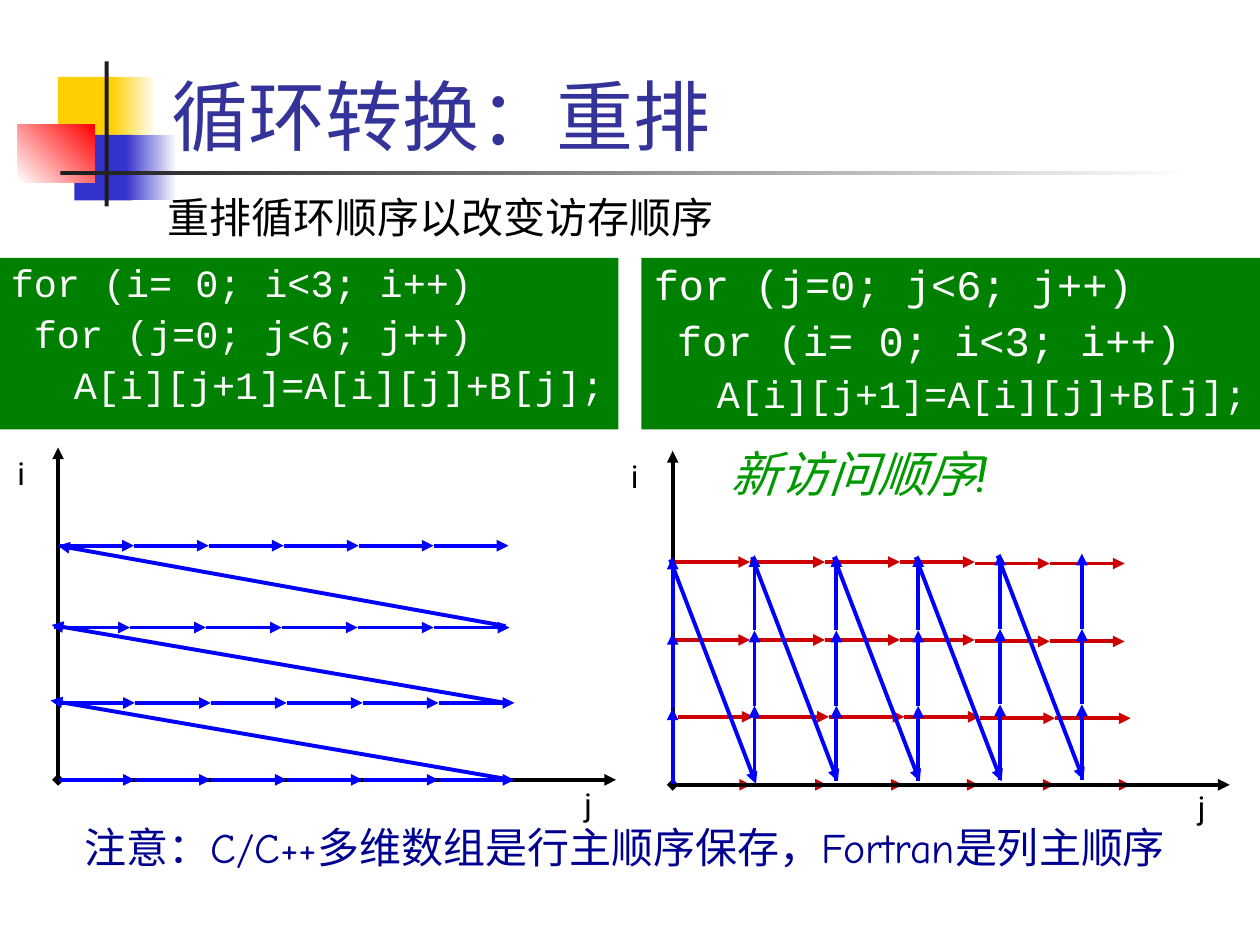
from lxml.etree import SubElement
from pptx import Presentation
from pptx.dml.color import RGBColor
from pptx.enum.shapes import MSO_CONNECTOR, MSO_SHAPE
from pptx.enum.text import MSO_ANCHOR, MSO_AUTO_SIZE, PP_ALIGN
from pptx.oxml.ns import qn
from pptx.util import Cm, Pt

COLORS = {
    "yellow": "FFCF01", "indigo": "3333CC", "red": "FF0000", "ink": "1C1C1C",
    "white": "FFFFFF", "black": "000000", "title": "333399", "code": "008000",
    "access": "0000FF", "row": "CC0000", "remark": "009900", "note": "000090",
}
RGB = {name: RGBColor.from_string(value) for name, value in COLORS.items()}

deck = Presentation()
deck.slide_width, deck.slide_height = Cm(25.4), Cm(19.05)
slide = deck.slides.add_slide(deck.slide_layouts[5])


def arrow(x1, y1, x2, y2, color, head=None, tail="triangle"):
    line = slide.shapes.add_connector(
        MSO_CONNECTOR.STRAIGHT, Cm(x1), Cm(y1), Cm(x2), Cm(y2))
    line.line.color.rgb = RGB[color]
    line.line.width = Pt(2.25)
    for end, kind in (("a:headEnd", head), ("a:tailEnd", tail)):
        if kind:
            SubElement(line.line._get_or_add_ln(), qn(end), type=kind)
    SubElement(line._element.spPr, qn("a:effectLst"))


def write(paragraph, text, color, **font_format):
    run = paragraph.add_run()
    run.text = text
    run.font.color.rgb = RGB[color]
    for attribute, value in font_format.items():
        setattr(run.font, attribute, value)


# Corner decoration: left, top, width, height, start colour, end colour, angle
decoration = [
    (1.17, 1.55, 1.22, 1.32, "yellow", None, 0),
    (2.24, 1.55, 0.91, 1.32, "yellow", "white", 0),
    (1.5, 2.72, 1.17, 1.32, "indigo", None, 0),
    (2.54, 2.72, 1.02, 1.32, "indigo", "white", 0),
    (0.36, 2.51, 1.55, 1.17, "white", "red", 45),
    (2.11, 1.24, 0.08, 2.92, "ink", None, 0),
    (1.22, 3.45, 22.86, 0.08, "ink", "white", 0),
]
for left, top, width, height, start, end, angle in decoration:
    block = slide.shapes.add_shape(
        MSO_SHAPE.RECTANGLE, Cm(left), Cm(top), Cm(width), Cm(height))
    block.shadow.inherit = False
    block.line.fill.background()
    if end:
        block.fill.gradient()
        block.fill.gradient_angle = angle
        for stop, name in zip(block.fill.gradient_stops, (start, end)):
            stop.color.rgb = RGB[name]
    else:
        block.fill.solid()
        block.fill.fore_color.rgb = RGB[start]

# Title
title = slide.shapes.title
title.left, title.top, title.width, title.height = Cm(3.2), Cm(0.2), Cm(21.64), Cm(3.18)
title.text_frame.auto_size = MSO_AUTO_SIZE.NONE
title.text_frame.vertical_anchor = MSO_ANCHOR.BOTTOM
heading = title.text_frame.paragraphs[0]
heading.alignment = PP_ALIGN.LEFT
write(heading, "循环转换：重排", "title", size=Pt(44), name="Times New Roman")

# Code panels: left, then lines of (text, size) runs
body_line = [("A[i][j+1]=A[i][j]+B[j];", 22)]
panels = [
    (16.28 - 3.35, [[("for (j=0; j<6; j++)", 24)],
                    [(" ", 22), ("for (i= 0; i<3; i++)", 24)], body_line]),
    (-0.03, [[("for (i= 0; i<3; i++)", 22)],
             [(" for (j=0; j<6; j++)", 22)], body_line]),
]
for left, code_lines in panels:
    panel = slide.shapes.add_shape(
        MSO_SHAPE.RECTANGLE, Cm(left), Cm(5.2), Cm(12.5), Cm(3.46))
    panel.shadow.inherit = False
    panel.line.fill.background()
    panel.fill.solid()
    panel.fill.fore_color.rgb = RGB["code"]
    code = panel.text_frame
    code.word_wrap = True
    code.vertical_anchor = MSO_ANCHOR.TOP
    code.margin_right = 0
    for number, runs in enumerate(code_lines):
        paragraph = code.add_paragraph() if number else code.paragraphs[0]
        paragraph.alignment = PP_ALIGN.LEFT
        paragraph.line_spacing = 0.9
        paragraph.space_before = Pt(runs[-1][1] / 4 if number else 0)
        margin, indent = (2.06, -0.79) if runs is body_line else (0.97, -0.97)
        properties = paragraph._p.get_or_add_pPr()
        properties.set("marL", str(Cm(margin)))
        properties.set("indent", str(Cm(indent)))
        for text, size in runs:
            write(paragraph, text, "white", size=Pt(size), name="Courier New")

# Left plot: row-by-row access
arrow(1.17, 9.02, 1.17, 15.72, "black", head="triangle", tail=None)
arrow(1.17, 15.72, 12.42, 15.72, "black", head="diamond")
for start_y, end_x, end_y in [(15.7, 1.02, 14.12), (14.17, 1.04, 12.6), (12.62, 1.17, 11)]:
    arrow(10.19, start_y, end_x, end_y, "access")
for start, y, step in [(1.19, 15.72, 1.53), (1.19, 14.17, 1.53),
                       (1.09, 12.65, 1.53), (1.19, 11, 1.51)]:
    for j in range(6):
        arrow(start + j * step, y, start + (j + 1) * step, y, "access")

# Right plot: storage rows beneath column-by-column access
for start, y, step, drop in [(13.61, 15.82, 1.53, 0), (13.67, 14.45, 1.52, 0.03),
                             (13.61, 12.9, 1.51, 0.03), (13.61, 11.33, 1.51, 0.03)]:
    for j in range(6):
        row_y = y + drop * (j > 3)
        arrow(start + j * step, row_y, start + (j + 1) * step, row_y, "row")
arrow(13.56, 9.09, 13.56, 15.82, "black", head="triangle", tail=None)
arrow(13.56, 15.82, 24.79, 15.82, "black", head="diamond")
for j, bottom in enumerate([15.8, 15.75, 15.75, 15.75, 15.72, 15.72]):
    x = 13.56 + j * 1.65
    for i in range(3):
        arrow(x, bottom - i * 1.52, x, bottom - (i + 1) * 1.52, "access")
    if j < 5:
        arrow(x - 0.05, bottom - 4.52, x + 1.68, bottom, "access")

# Axis names and remarks
labels = [
    ("i", 0.1, 9.02, 0.97, 18, "Roboto", "black", False),
    ("j", 11.53, 15.7, 0.97, 18, "Roboto", "black", False),
    ("i", 12.47, 9.09, 0.97, 18, "Roboto", "black", False),
    ("j", 23.9, 15.77, 0.97, 18, "Roboto", "black", False),
    ("新访问顺序!", 14.48, 8.81, 6.2, 28, "Roboto", "remark", True),
    ("重排循环顺序以改变访存顺序", 3.12, 3.73, 12.5, 24, "Comic Neue", "black", False),
    ("注意：C/C++多维数组是行主顺序保存，Fortran是列主顺序",
     1.45, 16.43, 23.8, 24, "Comic Neue", "note", False),
]
for text, left, top, width, size, font, color, italic in labels:
    label = slide.shapes.add_textbox(Cm(left), Cm(top), Cm(width), Cm(size * 0.05 + 0.1))
    label.text_frame.word_wrap = True
    write(label.text_frame.paragraphs[0], text, color,
          size=Pt(size), name=font, italic=italic)

deck.save("out.pptx")
